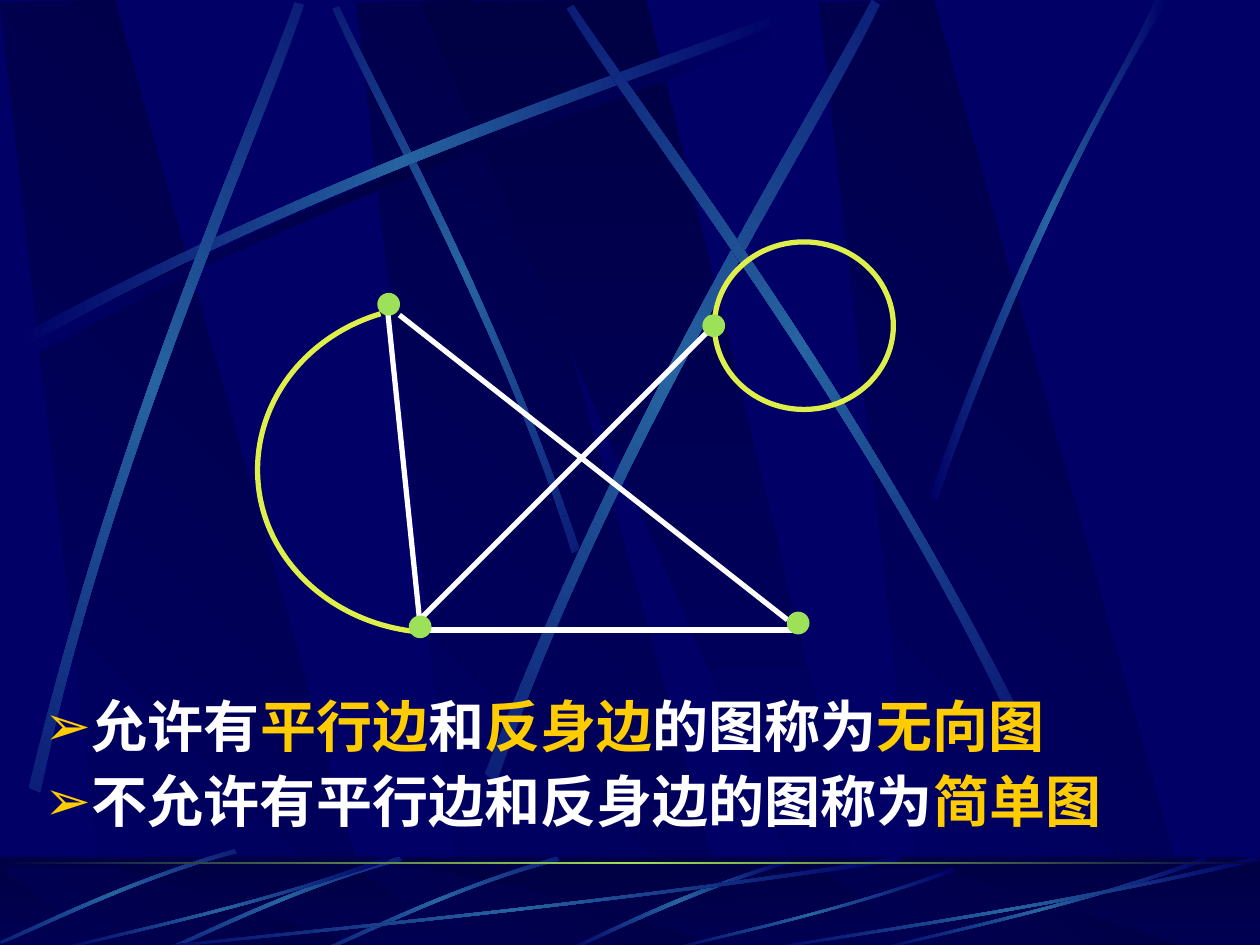
from math import cos, radians, sin

from lxml import etree
from pptx import Presentation
from pptx.dml.color import RGBColor
from pptx.enum.shapes import MSO_CONNECTOR, MSO_SHAPE
from pptx.enum.text import MSO_ANCHOR, MSO_AUTO_SIZE
from pptx.oxml.ns import qn
from pptx.util import Inches, Pt

STRAIGHT = MSO_CONNECTOR.STRAIGHT
RECTANGLE, OVAL = MSO_SHAPE.RECTANGLE, MSO_SHAPE.OVAL
FONT = "Noto Sans CJK SC"
COLORS = {"base": "000066", "deep": "000044", "glow": "2663A0", "vertex": "9CE157",
          "loop": "DFEF49", "white": "FFFFFF", "gold": "FFCC00"}
DARK, SHADE = ("deep", "base"), ("base", "deep", "base")
GLOW, RULE = ("base", "glow", "base"), ("deep", "vertex", "deep")

# A streak is two cubic curves: one edge out, the other edge back.
LONG_STREAK = [(0.14, 2.67), (2.78, 1.25), (5.18, 0.51), (6.2, 0.1),
               (6.23, 0.16), (5.22, 0.61), (2.48, 1.43), (0.17, 2.77)]
RISING_STREAKS = [
    (45, [(4.6, 4.36), (3.91, 2.34), (3.02, 0.77), (2.69, 0.05),
          (2.64, 0.07), (2.95, 0.79), (3.98, 2.58), (4.54, 4.39)]),
    (0, LONG_STREAK),
    (311.7, [(0.23, 6.25), (0.93, 3.34), (1.97, 1.05), (2.34, 0.02),
             (2.41, 0.04), (2.07, 1.09), (0.86, 3.68), (0.32, 6.29)]),
    (321.6, [(3.85, 6.14), (4.98, 3.2), (6.38, 1.02), (6.92, 0),
             (6.98, 0.04), (6.49, 1.08), (4.86, 3.55), (3.94, 6.21)]),
    (34.8, [(8.06, 5.6), (6.7, 2.93), (5.16, 0.95), (4.55, 0.04),
            (4.5, 0.07), (5.07, 1.01), (6.85, 3.25), (7.99, 5.66)]),
    (0, [(7.38, 3.94), (8.14, 1.73), (8.88, 0.66), (9.17, 0),
         (9.27, 0), (8.36, 1.45), (7.69, 3.22), (7.44, 3.97)]),
]
FLOOR_ARC = [(6.27, 6.82), (5.37, 7.09), (4.77, 7.42), (4.48, 7.54),
             (4.53, 7.55), (4.9, 7.37), (5.71, 7), (6.28, 6.85)]
FLOOR_STREAK = [(4.42, 6.8), (3.55, 7.05), (2.87, 7.4), (2.56, 7.53),
                (2.57, 7.55), (2.88, 7.43), (3.65, 7.03), (4.44, 6.83)]
FLOOR_SHIFTS = [(0, 0), (-1.25, 0), (-2.56, -0.06)]
# Fractions of the sweep's width and height
SWEEP = [(1, 0.04), (0.57, 0.57), (0.17, 0.85), (0.01, 1),
         (0, 0.99), (0.17, 0.81), (0.62, 0.51), (0.99, 0)]
SWEEP_FRAMES = [(1, 6.8, 6.17, 0.75), (0.42, 6.8, 2.67, 0.75), (5.27, 6.89, 2.31, 0.66),
                (6.92, 6.8, 2.67, 0.75), (6, 6.8, 4, 0.75)]

BAND_SHIFTS = (2.83, 0, 6.5)
WALL_BAND = [(0.86, 7.5), (3.02, 7.52), (0.91, 0), (0, 0.02)]
WALL_WEDGE = [(3.33, 0.01), (6.58, 7.51), (6.94, 7.51), (5.13, 0)]
FLOOR_BAND = [(0.86, 7.55), (3.02, 7.55), (0.91, 6.88), (0, 6.88)]
FLOOR_WEDGE = [(3.33, 6.88), (6.58, 7.55), (6.94, 7.55), (5.13, 6.88)]

PARALLEL_EDGE = [(3.02, 2.49), (2.39, 2.68), (1.99, 3.24), (2.05, 3.85),
                 (2.11, 4.45), (2.62, 4.93), (3.28, 5.01)]
EDGES = [((3.08, 2.5), (3.33, 4.92)), ((6.33, 5), (3.33, 5)),
         ((3.17, 2.5), (6.25, 4.92)), ((5.67, 2.58), (3.33, 4.92))]
VERTICES = [(3, 2.33), (3.25, 4.89), (5.58, 2.5), (6.25, 4.86)]

STATEMENTS = [
    [("允许有", "white"), ("平行边", "gold"), ("和", "white"), ("反身边", "gold"),
     ("的图称为", "white"), ("无向图", "gold")],
    [("不允许有平行边和反身边的图称为", "white"), ("简单图", "gold")],
]


def rgb(name):
    return RGBColor.from_string(COLORS[name])


def shift(points, dx, dy=0):
    return [(x + dx, y + dy) for x, y in points]


def rotate(points, degrees):
    c, s = cos(radians(degrees)), sin(radians(degrees))
    return [(x * c - y * s, x * s + y * c) for x, y in points]


def fill_gradient(shape, names, angle):
    shape.fill.gradient()
    gradient = shape._element.spPr.find(qn("a:gradFill"))
    stops = gradient.find(qn("a:gsLst"))
    for stop in list(stops):
        stops.remove(stop)
    for i, name in enumerate(names):
        stop = etree.SubElement(stops, qn("a:gs"), pos=str(100000 * i // (len(names) - 1)))
        etree.SubElement(stop, qn("a:srgbClr"), val=COLORS[name])
    gradient.find(qn("a:lin")).set("ang", str(angle * 60000))
    shape.line.fill.background()


def add_outline(slide, points, segments="LLL", closed=True):
    """Draw segments in order: L takes one point, C takes three as a cubic curve."""
    corners = [(Inches(x), Inches(y)) for x, y in points]
    builder = slide.shapes.build_freeform(*corners[0])
    builder.add_line_segments(corners[1:], close=closed)
    shape = builder.convert_to_shape()
    shape.shadow.inherit = False
    steps = iter(list(shape._element.spPr.iter(qn("a:lnTo"))))
    for segment in segments:
        first = next(steps)
        if segment == "C":
            first.tag = qn("a:cubicBezTo")
            for _ in range(2):
                step = next(steps)
                first.append(step[0])
                step.getparent().remove(step)
    return shape


def add_band(slide, points, angle):
    fill_gradient(add_outline(slide, points), DARK, angle)


def add_streak(slide, edges, colors=GLOW, turn=0):
    """Draw the streak level, then turn it so that its gradient turns with it."""
    shape = add_outline(slide, rotate(edges, -turn), "CLC")
    fill_gradient(shape, colors, 180)
    center = (shape.left + shape.width / 2, shape.top + shape.height / 2)
    x, y = rotate([center], turn)[0]
    shape.left, shape.top = round(x - shape.width / 2), round(y - shape.height / 2)
    shape.rotation = turn


def add_preset(slide, kind, *frame):
    shape = slide.shapes.add_shape(kind, *map(Inches, frame))
    shape.shadow.inherit = False
    return shape


def set_line(shape, name, width):
    shape.line.color.rgb = rgb(name)
    shape.line.width = Pt(width)


def add_wall(slide):
    for dx in BAND_SHIFTS:
        add_band(slide, shift(WALL_BAND, dx), 135)
    add_band(slide, WALL_WEDGE, 90)
    add_streak(slide, shift(LONG_STREAK, 0.06, 0.08), SHADE)
    for turn, edges in RISING_STREAKS:
        add_streak(slide, edges, turn=turn)


def add_floor(slide):
    fill_gradient(add_preset(slide, RECTANGLE, 0, 6.8, 10, 0.75), DARK, 90)
    for dx in BAND_SHIFTS:
        add_band(slide, shift(FLOOR_BAND, dx), 135)
    add_band(slide, FLOOR_WEDGE, 90)
    veil = add_preset(slide, RECTANGLE, 0, 6.8, 10, 0.75)
    veil.fill.solid()
    veil.fill.fore_color.rgb = rgb("deep")
    veil.line.fill.background()
    color = veil._element.spPr.find(qn("a:solidFill")).find(qn("a:srgbClr"))
    etree.SubElement(color, qn("a:alpha"), val="50000")
    add_streak(slide, FLOOR_ARC)
    for offset in FLOOR_SHIFTS:
        add_streak(slide, shift(FLOOR_STREAK, *offset), turn=314.9)
    for left, top, width, height in SWEEP_FRAMES:
        add_streak(slide, [(left + x * width, top + y * height) for x, y in SWEEP])
    fill_gradient(add_preset(slide, RECTANGLE, 0, 6.84, 10, 0.02), RULE, 180)


def add_statements(slide, body):
    slide.shapes._spTree.append(body._element)  # in front of the backdrop
    body.left, body.top, body.width, body.height = map(Inches, (0.25, 5.5, 9.58, 1.25))
    frame = body.text_frame
    frame.auto_size, frame.vertical_anchor = MSO_AUTO_SIZE.NONE, MSO_ANCHOR.TOP
    for i, runs in enumerate(STATEMENTS):
        paragraph = frame.add_paragraph() if i else frame.paragraphs[0]
        props = paragraph._p.get_or_add_pPr()
        props.set("marL", str(Inches(0.38)))
        props.set("indent", str(-Inches(0.38)))
        bullet_color = etree.SubElement(props, qn("a:buClr"))
        etree.SubElement(bullet_color, qn("a:srgbClr"), val=COLORS["gold"])
        etree.SubElement(props, qn("a:buChar"), char="➢")
        paragraph.line_spacing = 0.9
        paragraph.space_before = Pt(8 if i else 0)
        for text, name in runs:
            run = paragraph.add_run()
            run.text = text
            run.font.size, run.font.bold, run.font.name = Pt(32), True, FONT
            run.font.color.rgb = rgb(name)
            etree.SubElement(run._r.get_or_add_rPr(), qn("a:ea"), typeface=FONT)


def add_edge(slide, start, end):
    edge = slide.shapes.add_connector(STRAIGHT, *map(Inches, start + end))
    set_line(edge, "white", 3)
    etree.SubElement(edge._element.spPr, qn("a:effectLst"))


def add_vertex(slide, left, top):
    vertex = add_preset(slide, OVAL, left, top, 0.17, 0.17)
    vertex.fill.solid()
    vertex.fill.fore_color.rgb = rgb("vertex")
    set_line(vertex, "vertex", 0.75)


def add_graph(slide):
    parallel_edge = add_outline(slide, PARALLEL_EDGE, "CC", closed=False)
    self_loop = add_preset(slide, OVAL, 5.67, 1.92, 1.42, 1.33)
    for bend in (parallel_edge, self_loop):
        bend.fill.background()
        set_line(bend, "loop", 3)
    for start, end in EDGES:
        add_edge(slide, start, end)
    for left, top in VERTICES:
        add_vertex(slide, left, top)


def main():
    deck = Presentation()
    deck.slide_width, deck.slide_height = Inches(10), Inches(7.5)
    slide = deck.slides.add_slide(deck.slide_layouts[1])
    title, body = slide.placeholders
    title._element.getparent().remove(title._element)
    slide.background.fill.solid()
    slide.background.fill.fore_color.rgb = rgb("base")
    add_wall(slide)
    add_floor(slide)
    add_statements(slide, body)
    add_graph(slide)
    deck.save("out.pptx")


if __name__ == "__main__":
    main()
